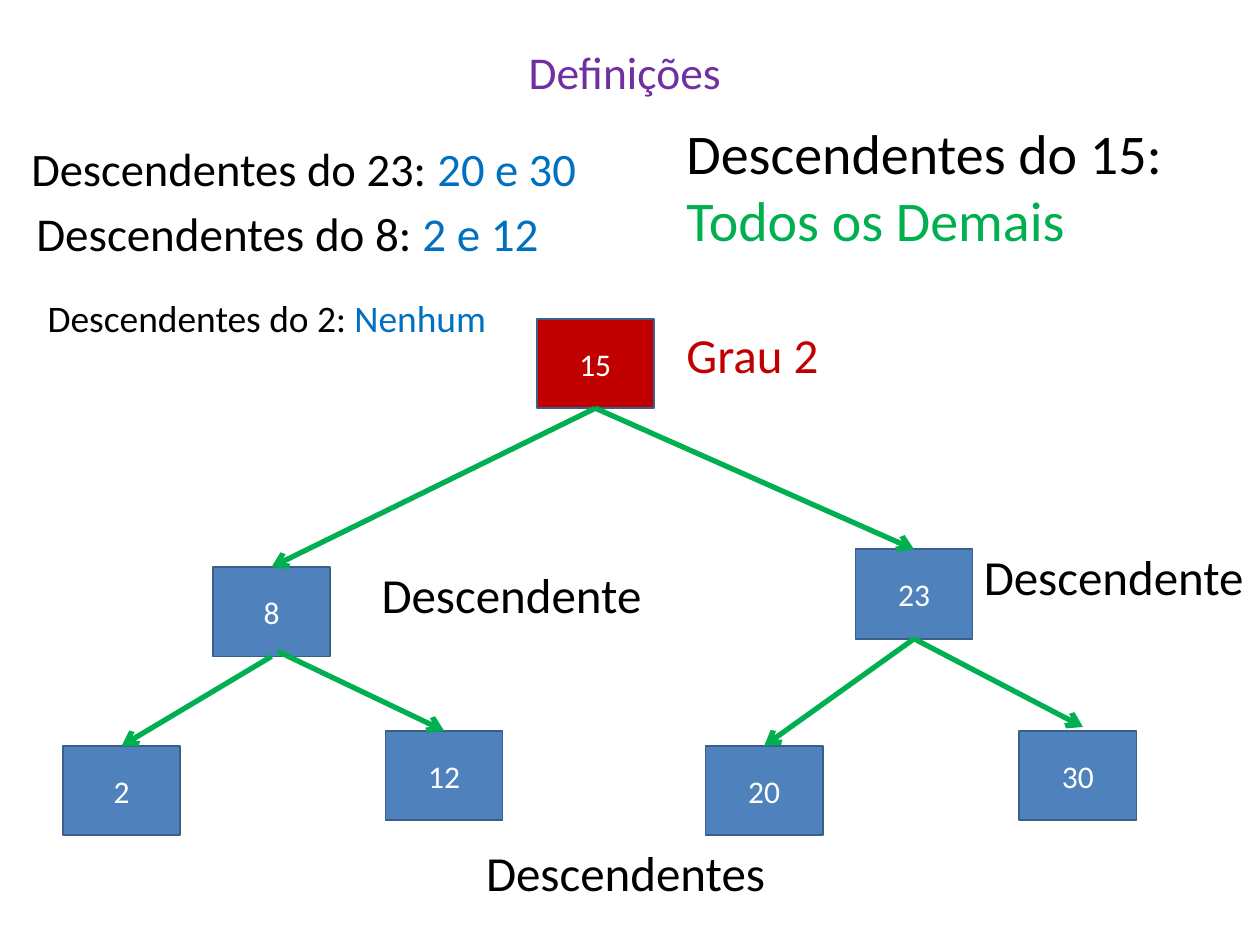
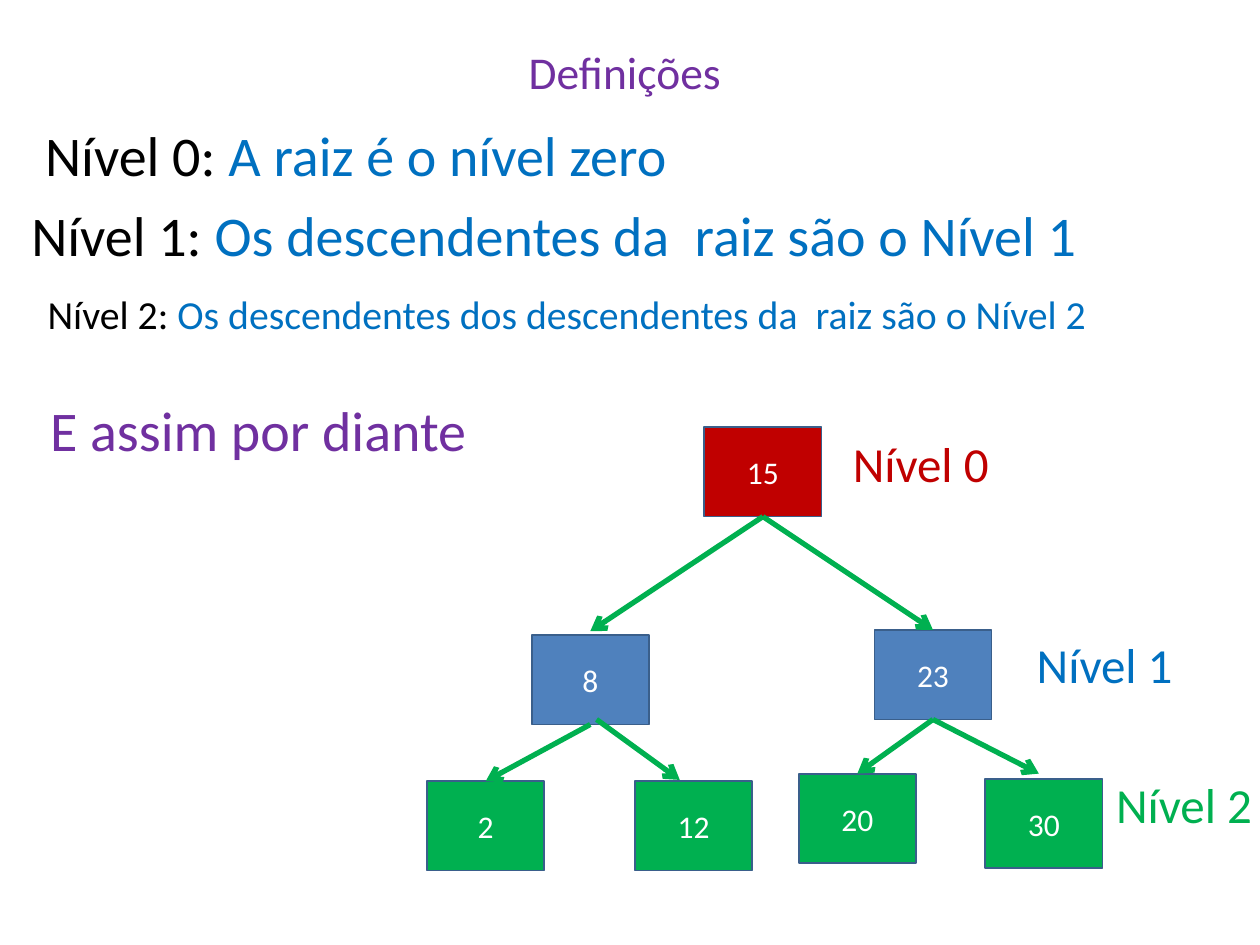
from dataclasses import dataclass, field
from typing import Any

from lxml.etree import SubElement
from pptx import Presentation
from pptx.dml.color import RGBColor
from pptx.enum.shapes import MSO_CONNECTOR as Connector, MSO_SHAPE as Preset
from pptx.enum.text import MSO_ANCHOR as Anchor, MSO_AUTO_SIZE as AutoSize, PP_ALIGN as Align
from pptx.oxml.ns import qn
from pptx.slide import Slide
from pptx.util import Inches, Pt

COLUMNS, ROWS = 100, 75
DECK_WIDTH, DECK_HEIGHT = Inches(10), Inches(7.5)
NODE_WIDTH, NODE_HEIGHT = 9.3, 7.1
FONT = "Calibri"
BLACK, WHITE = "000000", "FFFFFF"
RED, BLUE, GREEN, PURPLE = "C00000", "0070C0", "00B050", "7030A0"
NODE_BLUE, NODE_EDGE = "4F81BD", "3A5F8B"
CHILDREN = {15: (8, 23), 8: (2, 12), 23: (20, 30)}
LEVELS = ((15,), (8, 23), (2, 12, 20, 30))
Point = tuple[float, float]
NO_SHIFT: Point = (0, 0)


@dataclass
class Area:
    column: float
    row: float
    width: float
    height: float

    def emu(self) -> tuple[int, int, int, int]:
        return across(self.column), down(self.row), across(self.width), down(self.height)


@dataclass
class TextBlock:
    area: Area
    spans: list[tuple[str, str]]
    size: float
    frame_format: dict[str, Any] = field(default_factory=dict)
    para_format: dict[str, Any] = field(default_factory=dict)


@dataclass
class Tree:
    corners: dict[int, Point]
    level_fills: tuple[str, str, str]
    start_shifts: dict[int, Point]
    end_shifts: dict[int, Point]


@dataclass
class Page:
    tree: Tree
    texts: list[TextBlock]


def across(columns: float) -> int:
    return round(DECK_WIDTH * columns / COLUMNS)


def down(rows: float) -> int:
    return round(DECK_HEIGHT * rows / ROWS)


def rgb(color: str) -> RGBColor:
    return RGBColor.from_string(color)


def apply(target: Any, values: dict[str, Any]) -> None:
    for name, value in values.items():
        setattr(target, name, value)


def note(column: float, row: float, width: float, height: float, size: float,
         *spans: tuple[str, str]) -> TextBlock:
    return TextBlock(Area(column, row, width, height), list(spans), size,
                     para_format={"space_before": Pt(6.4)})


def label(column: float, row: float, width: float, text: str, color: str = BLACK) -> TextBlock:
    return TextBlock(Area(column, row, width, 5.6), [(text, color)], 28,
                     {"auto_size": AutoSize.SHAPE_TO_FIT_TEXT})


CENTRED = {"vertical_anchor": Anchor.MIDDLE}
TITLE = TextBlock(Area(5, 3, 90, 5.4), [("Definições ", PURPLE)], 26,
                  CENTRED, {"alignment": Align.CENTER})


def write(box: Any, block: TextBlock) -> None:
    frame = box.text_frame
    apply(frame, {"word_wrap": True, **block.frame_format})
    para = frame.paragraphs[0]
    apply(para, block.para_format)
    for text, color in block.spans:
        span = para.add_run()
        span.text = text
        apply(span.font, {"name": FONT, "size": Pt(block.size)})
        span.font.color.rgb = rgb(color)


def draw_text(page: Slide, block: TextBlock) -> None:
    write(page.shapes.add_textbox(*block.area.emu()), block)


def draw_node(page: Slide, value: int, corner: Point, fill: str) -> None:
    area = Area(*corner, NODE_WIDTH, NODE_HEIGHT)
    box = page.shapes.add_shape(Preset.RECTANGLE, *area.emu())
    box.shadow.inherit = False
    box.fill.solid()
    box.fill.fore_color.rgb = rgb(fill)
    box.line.color.rgb = rgb(NODE_EDGE)
    box.line.width = Pt(1)
    write(box, TextBlock(area, [(str(value), WHITE)], 18, CENTRED, {"alignment": Align.CENTER}))


def draw_arrow(page: Slide, start: Point, end: Point) -> None:
    arrow = page.shapes.add_connector(Connector.STRAIGHT, across(start[0]), down(start[1]),
                                      across(end[0]), down(end[1]))
    arrow.line.color.rgb = rgb(GREEN)
    arrow.line.width = Pt(3)
    SubElement(arrow.line._get_or_add_ln(), qn("a:tailEnd"), type="arrow")
    SubElement(arrow._element.spPr, qn("a:effectLst"))


def draw_tree(page: Slide, tree: Tree) -> None:
    for values, fill in zip(LEVELS, tree.level_fills):
        for value in values:
            draw_node(page, value, tree.corners[value], fill)
    for parent, children in CHILDREN.items():
        for child in children:
            left, top = tree.corners[parent]
            child_left, child_top = tree.corners[child]
            start_x, start_y = tree.start_shifts.get(child, NO_SHIFT)
            end_x, end_y = tree.end_shifts.get(child, NO_SHIFT)
            draw_arrow(page,
                       (left + NODE_WIDTH / 2 + start_x, top + NODE_HEIGHT + start_y),
                       (child_left + NODE_WIDTH / 2 + end_x, child_top + end_y))


DESCENDANTS = Page(
    Tree(
        {15: (42.6, 25.3), 8: (16.9, 45), 23: (67.9, 43.6), 2: (5, 59.2),
         12: (30.6, 58), 20: (56, 59.2), 30: (80.9, 58)},
        (RED, NODE_BLUE, NODE_BLUE),
        {12: (0.5, -0.4)},
        {30: (0.4, -0.3)},
    ),
    [
        label(53.5, 25.3, 14.6, "Grau 2", RED),
        label(77.1, 42.9, 23, "Descendente"),
        label(29.3, 44.3, 25.5, "Descendente"),
        label(37.6, 66.4, 44.6, "Descendentes"),
        note(1.5, 10.6, 53.3, 5.5, 26.6, ("Descendentes do 23: ", BLACK), ("20 e 30", BLUE)),
        note(53.5, 8.9, 44, 14.4, 32, ("Descendentes do 15: ", BLACK), ("Todos os Demais", GREEN)),
        note(2.8, 22.9, 37.1, 8.1, 21.4, ("Descendentes do 2: ", BLACK), ("Nenhum", BLUE)),
        note(1.9, 15.7, 53.3, 5.5, 26.9, ("Descendentes do 8: ", BLACK), ("2 e 12", BLUE)),
    ],
)

TREE_LEVELS = Page(
    Tree(
        {15: (55.9, 33.9), 8: (42.2, 50.4), 23: (69.4, 50), 2: (33.9, 62),
         12: (50.4, 62), 20: (63.4, 61.4), 30: (78.2, 61.8)},
        (RED, NODE_BLUE, GREEN),
        {12: (0.5, -0.4)},
        {8: (0, -0.3), 12: (-1.1, -0.1), 30: (-0.4, -0.4)},
    ),
    [
        label(66.7, 33.9, 14.6, "Nível 0", RED),
        label(81.3, 49.9, 14.6, "Nível 1", BLUE),
        label(87.6, 61, 13.3, "Nível 2", GREEN),
        note(2.6, 9.1, 52, 7.9, 32, ("Nível 0: ", BLACK), ("A raiz é o nível zero", BLUE)),
        note(1.5, 15.4, 89.3, 7.9, 32, ("Nível 1: ", BLACK),
             ("Os descendentes da  raiz são o Nível 1", BLUE)),
        note(2.8, 22.5, 89.3, 7.9, 22.7, ("Nível 2: ", BLACK),
             ("Os descendentes dos descendentes da  raiz são o Nível 2", BLUE)),
        note(3, 30.9, 37.6, 7.9, 32, ("E assim por diante", PURPLE)),
    ],
)


def main() -> None:
    deck = Presentation()
    apply(deck, {"slide_width": DECK_WIDTH, "slide_height": DECK_HEIGHT})
    for content in (DESCENDANTS, TREE_LEVELS):
        page = deck.slides.add_slide(deck.slide_layouts[6])
        draw_text(page, TITLE)
        draw_tree(page, content.tree)
        for block in content.texts:
            draw_text(page, block)
    deck.save("out.pptx")


if __name__ == "__main__":
    main()
